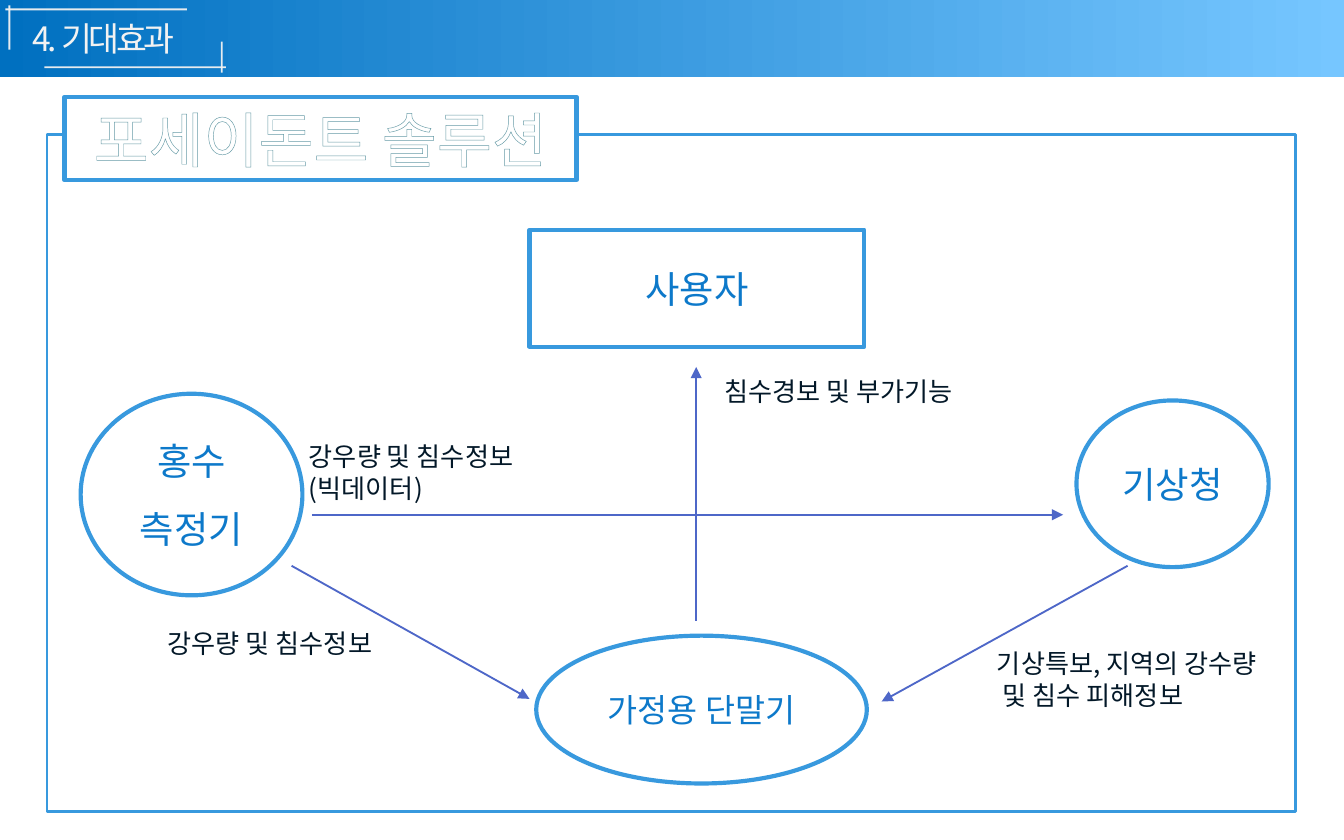
"""Build the expected-effects slide with its flood information diagram."""
from typing import NamedTuple, Optional

from lxml import etree
from pptx import Presentation
from pptx.dml.color import RGBColor
from pptx.enum import dml, shapes, text
from pptx.oxml import ns
from pptx.util import Inches, Pt

FONT = "Noto Sans CJK KR"
WHITE = RGBColor(0xFF, 0xFF, 0xFF)
PALE_GREY = RGBColor(0xF2, 0xF2, 0xF2)
LIGHT_GREY = RGBColor(0xD9, 0xD9, 0xD9)
SKY = RGBColor(0x76, 0xC6, 0xFF)
DEEP_BLUE = RGBColor(0x00, 0x70, 0xC0)
BORDER_BLUE = RGBColor(0x38, 0x99, 0xDE)
TEXT_BLUE = RGBColor(0x0D, 0x79, 0xCA)
ARROW_BLUE = RGBColor(0x4E, 0x67, 0xC8)
INK = RGBColor(0x03, 0x18, 0x28)
OUTLINE_TEAL = RGBColor(0x66, 0x9B, 0xA6)
RECTANGLE = shapes.MSO_SHAPE.RECTANGLE
OVAL = shapes.MSO_SHAPE.OVAL


class Box(NamedTuple):
    left: float
    top: float
    width: float
    height: float


class Node(NamedTuple):
    kind: shapes.MSO_SHAPE
    box: Box
    wording: str = ""
    size: float = 20
    color: RGBColor = TEXT_BLUE
    line_width: float = 2.25
    filled: bool = True


class Label(NamedTuple):
    box: Box
    wording: str


class Line(NamedTuple):
    start: tuple[float, float]
    end: tuple[float, float]


NODES = [
    Node(OVAL, Box(0.6, 2.93, 1.65, 1.5), "홍수\n측정기"),
    Node(OVAL, Box(3.99, 4.73, 2.46, 1.1), "가정용 단말기", 17.5),
    Node(RECTANGLE, Box(3.94, 1.71, 2.49, 0.87), "사용자"),
    Node(OVAL, Box(8.01, 2.98, 1.43, 1.24), "기상청", 19.5),
    Node(RECTANGLE, Box(0.35, 1, 9.29, 5.04), line_width=1.5, filled=False),
]
HEADING = Node(RECTANGLE, Box(0.48, 0.72, 3.81, 0.62), "포세이돈트 솔루션", 32, WHITE)
LABELS = [
    Label(Box(2.2, 3.23, 2.33, 0.57), "강우량 및 침수정보\n(빅데이터)"),
    Label(Box(7.32, 4.77, 2.33, 0.79), "기상특보, 지역의 강수량\n 및 침수 피해정보"),
    Label(Box(1.15, 4.62, 2.33, 0.32), "강우량 및 침수정보"),
    Label(Box(5.29, 2.74, 2.33, 0.32), "침수경보 및 부가기능"),
]
TITLE_RULES = [
    Line((0.04, 0.07), (1.39, 0.07)),
    Line((0.33, 0.5), (1.68, 0.5)),
    Line((1.65, 0.31), (1.65, 0.54)),
    Line((0.07, 0.04), (0.07, 0.37)),
]
ARROWS = [
    Line((2.32, 3.83), (7.91, 3.83)),
    Line((2.17, 4.21), (3.94, 5.2)),
    Line((8.39, 4.21), (6.56, 5.22)),
    Line((5.18, 4.62), (5.18, 2.73)),
]


def place(box: Box) -> list[int]:
    """Convert a box to slide lengths."""
    return [Inches(value) for value in box]


def format_text(frame, size: float, color: Optional[RGBColor], align) -> None:
    """Format every run of a text frame."""
    for paragraph in frame.paragraphs:
        paragraph.alignment = align
        for run in paragraph.runs:
            run.font.size = Pt(size)
            run.font.name = FONT
            if color is not None:
                run.font.color.rgb = color
            latin = run.font._element.find(ns.qn("a:latin"))
            latin.addnext(latin.makeelement(ns.qn("a:ea"), {"typeface": FONT}))


def add_gradient(fill, first: RGBColor, last: RGBColor, angle: float) -> None:
    """Apply a two-colour linear gradient."""
    fill.gradient()
    fill.gradient_angle = angle
    for stop, color in zip(fill.gradient_stops, (first, last)):
        stop.color.rgb = color


def add_node(slide, node: Node):
    """Add a bordered shape with centred text."""
    shape = slide.shapes.add_shape(node.kind, *place(node.box))
    shape.shadow.inherit = False
    if node.filled:
        shape.fill.solid()
        shape.fill.fore_color.rgb = WHITE
    else:
        shape.fill.background()
    shape.line.color.rgb = BORDER_BLUE
    shape.line.width = Pt(node.line_width)
    if node.wording:
        frame = shape.text_frame
        frame.text = node.wording
        frame.vertical_anchor = text.MSO_ANCHOR.MIDDLE
        format_text(frame, node.size, node.color, text.PP_ALIGN.CENTER)
        for paragraph in frame.paragraphs[1:]:
            paragraph.line_spacing = 1.5
    return shape


def add_line(slide, line: Line, color: RGBColor, arrow: bool = False) -> None:
    """Add a straight connector, with an arrowhead if wanted."""
    points = [Inches(value) for value in (*line.start, *line.end)]
    connector = slide.shapes.add_connector(shapes.MSO_CONNECTOR.STRAIGHT, *points)
    connector.line.color.rgb = color
    connector.line.width = Pt(1)
    properties = connector.element.spPr
    if arrow:
        etree.SubElement(properties.find(ns.qn("a:ln")), ns.qn("a:tailEnd"), type="triangle")
    else:
        etree.SubElement(next(properties.iter(ns.qn("a:srgbClr"))), ns.qn("a:alpha"), val="94000")
    etree.SubElement(properties, ns.qn("a:effectLst"))


def add_label(slide, label: Label) -> None:
    """Add a wrapped caption."""
    frame = slide.shapes.add_textbox(*place(label.box)).text_frame
    frame.word_wrap = True
    frame.auto_size = text.MSO_AUTO_SIZE.SHAPE_TO_FIT_TEXT
    frame.text = label.wording
    format_text(frame, 14, INK, text.PP_ALIGN.LEFT)


def add_heading(slide) -> None:
    """Add the heading box with outlined letters."""
    frame = add_node(slide, HEADING).text_frame
    properties = frame.paragraphs[0].runs[0].font._element
    outline = etree.Element(ns.qn("a:ln"), w=str(Pt(1.5)))
    fill = etree.SubElement(outline, ns.qn("a:solidFill"))
    etree.SubElement(fill, ns.qn("a:srgbClr"), val=str(OUTLINE_TEAL))
    properties.insert(0, outline)


def add_banner(slide) -> None:
    """Add the gradient band, its rules and the slide title."""
    band = slide.shapes.add_shape(RECTANGLE, *place(Box(0, 0, 10, 0.57)))
    band.shadow.inherit = False
    band.line.fill.background()
    add_gradient(band.fill, SKY, DEEP_BLUE, 180)
    for rule in TITLE_RULES:
        add_line(slide, rule, PALE_GREY)
    title = slide.shapes.title
    title.left, title.top, title.width, title.height = place(Box(0.2, 0.13, 1.93, 0.3))
    frame = title.text_frame
    frame.text = "4. 기대효과"
    frame.word_wrap = True
    frame.auto_size = text.MSO_AUTO_SIZE.NONE
    frame.vertical_anchor = text.MSO_ANCHOR.MIDDLE
    frame.margin_left = frame.margin_right = Inches(0.04)
    frame.margin_top = frame.margin_bottom = 0
    format_text(frame, 18, None, text.PP_ALIGN.LEFT)
    font = frame.paragraphs[0].runs[0].font
    add_gradient(font.fill, PALE_GREY, LIGHT_GREY, 0)
    font._element.set("spc", "-180")
    title.element.getparent().append(title.element)


def main() -> None:
    """Assemble and save the presentation."""
    presentation = Presentation()
    presentation.slide_width, presentation.slide_height = Inches(10), Inches(6.25)
    slide = presentation.slides.add_slide(presentation.slide_layouts[5])
    add_banner(slide)
    for node in NODES:
        add_node(slide, node)
    add_heading(slide)
    for arrow in ARROWS:
        add_line(slide, arrow, ARROW_BLUE, arrow=True)
    for label in LABELS:
        add_label(slide, label)
    presentation.save("out.pptx")


if __name__ == "__main__":
    main()
